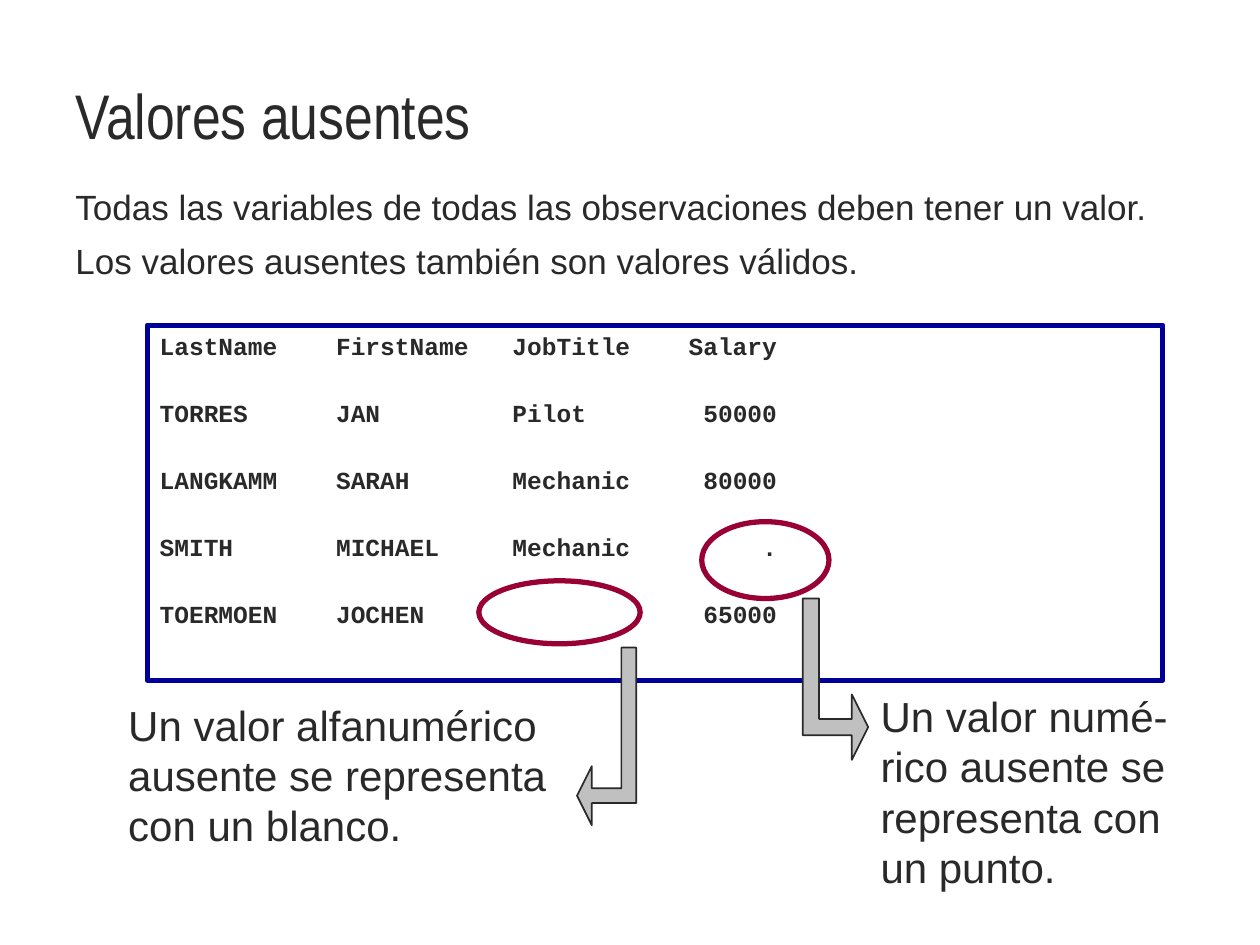
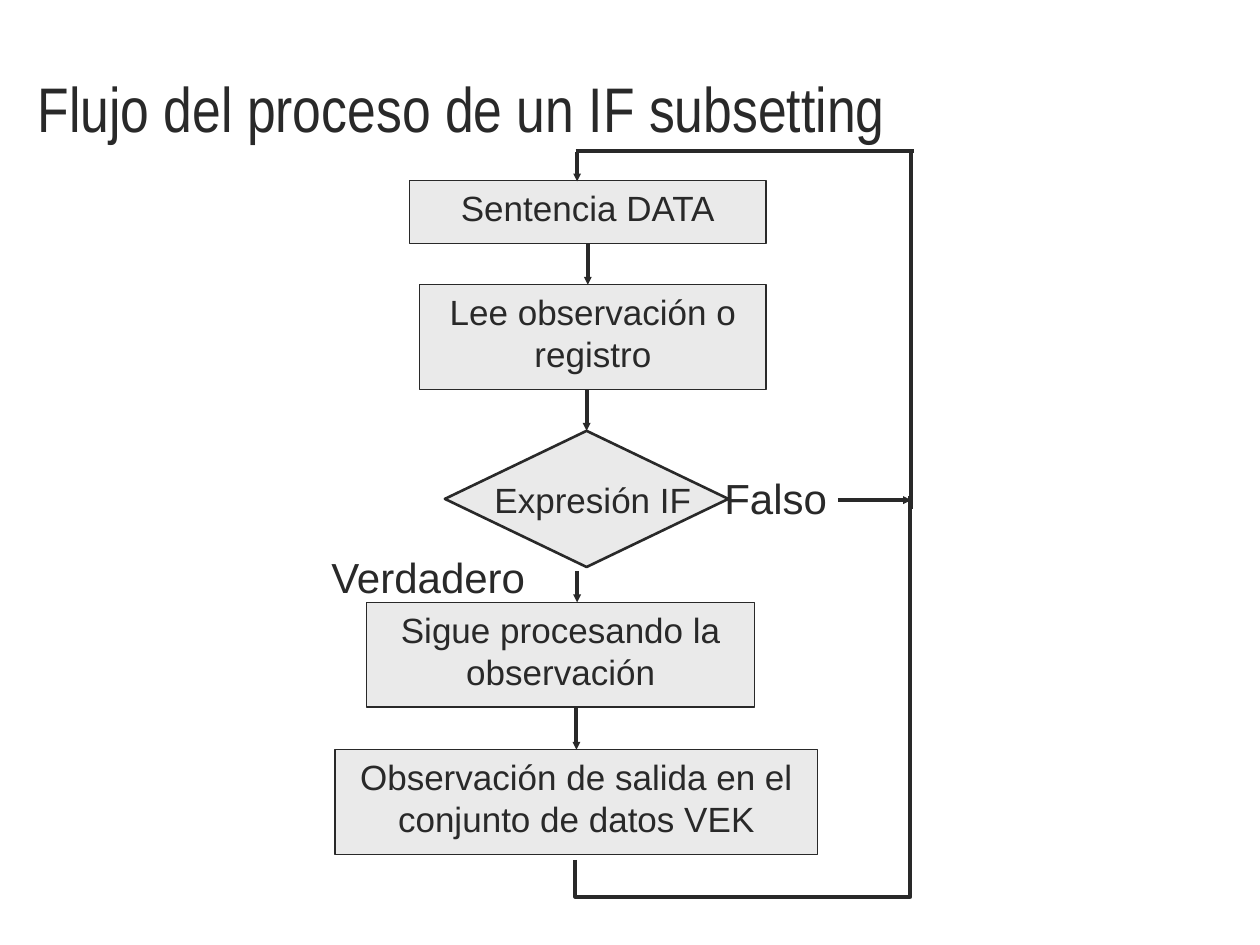
"""Build two teaching slides: missing values and the flow of a subsetting IF."""
from lxml import etree
from pptx import Presentation
from pptx.dml.color import RGBColor
from pptx.enum.shapes import MSO_CONNECTOR, MSO_SHAPE
from pptx.enum.text import MSO_ANCHOR, PP_ALIGN
from pptx.oxml.ns import qn
from pptx.util import Pt

INK = RGBColor(0x29, 0x29, 0x29)
WHITE = RGBColor(0xFF, 0xFF, 0xFF)
NAVY = RGBColor(0x00, 0x00, 0x99)
CRIMSON = RGBColor(0x99, 0x00, 0x33)
SILVER = RGBColor(0xC0, 0xC0, 0xC0)
PALE = RGBColor(0xEA, 0xEA, 0xEA)

RECTANGLE, ELLIPSE = MSO_SHAPE.RECTANGLE, MSO_SHAPE.OVAL
DECISION, BENT_ARROW = MSO_SHAPE.FLOWCHART_DECISION, MSO_SHAPE.BENT_UP_ARROW
STRAIGHT, ELBOW = MSO_CONNECTOR.STRAIGHT, MSO_CONNECTOR.ELBOW
LEFT, CENTER = PP_ALIGN.LEFT, PP_ALIGN.CENTER
TOP, MIDDLE = MSO_ANCHOR.TOP, MSO_ANCHOR.MIDDLE
SITE_TOP, SITE_BOTTOM = 0, 2

CHAR_WIDTH = 8.4
COLUMN_STOPS = [(12, "l"), (24, "l"), (42, "r")]
STAFF = [
    ("LastName", "FirstName", "JobTitle", "Salary"),
    ("TORRES", "JAN", "Pilot", "50000"),
    ("LANGKAMM", "SARAH", "Mechanic", "80000"),
    ("SMITH", "MICHAEL", "Mechanic", "."),
    ("TOERMOEN", "JOCHEN", "", "65000"),
]


def points(*values):
    """Turn numbers into lengths in points."""
    return [Pt(value) for value in values]


def write(shape, lines, size, font="Arial", align=LEFT, anchor=TOP, gap=0):
    """Fill a shape with paragraphs and return them."""
    frame = shape.text_frame
    frame.word_wrap = True
    frame.vertical_anchor = anchor
    frame.text = "\n".join(lines)
    for para in frame.paragraphs:
        para.alignment = align
        para.space_after = Pt(gap)
        para.font.size = Pt(size)
        para.font.name = font
        para.font.color.rgb = INK
    return frame.paragraphs


def add_text(page, box, lines, size, **style):
    """Add a text box and return its paragraphs."""
    return write(page.shapes.add_textbox(*points(*box)), lines, size, **style)


def add_title(page, left, top, text):
    """Add the slide title."""
    para = add_text(page, (left, top, 684, 90), [text], 36,
                    font="Arial Narrow", anchor=MIDDLE)[0]
    para.line_spacing = 0.83


def add_figure(page, kind, box, fill, line, width):
    """Add a preset shape, unfilled when fill is None."""
    shape = page.shapes.add_shape(kind, *points(*box))
    shape.shadow.inherit = False
    if fill is None:
        shape.fill.background()
    else:
        shape.fill.solid()
        shape.fill.fore_color.rgb = fill
    shape.line.color.rgb = line
    shape.line.width = Pt(width)
    return shape


def add_line(page, ends, arrow=False, kind=STRAIGHT):
    """Add a connector, with an arrowhead at its end if asked."""
    line = page.shapes.add_connector(kind, *points(*ends))
    line.line.color.rgb = INK
    line.line.width = Pt(2.25)
    if arrow:
        outline = line.line._get_or_add_ln()
        etree.SubElement(outline, qn("a:tailEnd"), type="triangle",
                         w="sm", len="sm")
    etree.SubElement(line._element.spPr, qn("a:effectLst"))
    return line


def add_staff_listing(page, box):
    """Add the framed listing with its columns on tab stops."""
    frame = add_figure(page, RECTANGLE, box, WHITE, NAVY, 3)
    frame.text_frame.text = "\n".join("\t".join(row) for row in STAFF)
    for para in frame.text_frame.paragraphs:
        stops = etree.SubElement(para._p.get_or_add_pPr(), qn("a:tabLst"))
        for column, align in COLUMN_STOPS:
            etree.SubElement(stops, qn("a:tab"),
                             pos=str(Pt(column * CHAR_WIDTH)), algn=align)
        para.alignment = LEFT
        para.space_after = Pt(21.5)
        para.font.size = Pt(14)
        para.font.name = "Courier New"
        para.font.bold = True
        para.font.color.rgb = INK
    frame.text_frame.vertical_anchor = TOP


def add_callout(page, ring, arrow, note, text, mirrored=False):
    """Ring a missing value and lead a bent arrow to its explanation."""
    add_figure(page, ELLIPSE, ring, None, CRIMSON, 3)
    bend = add_figure(page, BENT_ARROW, arrow, SILVER, INK, 1)
    bend.rotation = 90
    for index, value in enumerate((0.25, 0.5, 0.25)):
        bend.adjustments[index] = value
    if mirrored:
        bend._element.spPr.find(qn("a:xfrm")).set("flipV", "1")
    add_text(page, note, [text], 24)


def build_missing_values(page):
    """Build the slide about missing values."""
    add_staff_listing(page, (84.2, 185.8, 580.3, 203))
    add_text(page, (36, 102.2, 684, 108), [
        "Todas las variables de todas las observaciones deben tener un valor.",
        "Los valores ausentes también son valores válidos.",
    ], 20, gap=7.4)
    add_callout(page, (401, 298.1, 72.7, 43.9), (431.3, 369.4, 92.2, 37.4),
                (496.1, 391, 182.2, 122.4),
                "Un valor numé- rico ausente se representa con un punto.")
    add_callout(page, (273.6, 331.9, 92.2, 36), (295.9, 403.9, 101.5, 33.8),
                (66.2, 396, 264.2, 93.6),
                "Un valor alfanumérico ausente se representa con un blanco.",
                mirrored=True)
    add_title(page, 36, 23.8, "Valores ausentes")


def add_flow(page, left, top):
    """Draw the flow chart from its top-left corner."""
    def place(x, y, *size):
        """Shift a position into the chart."""
        return (left + x, top + y, *size)

    def join(x1, y1, x2, y2, arrow=True):
        """Draw a straight line inside the chart."""
        return add_line(page, place(x1, y1) + place(x2, y2), arrow)

    def step(x, y, width, height, text):
        """Draw one process box."""
        shape = add_figure(page, RECTANGLE, place(x, y, width, height),
                           PALE, INK, 0.75)
        write(shape, [text], 20, align=CENTER)
        return shape

    data = step(54, 16.6, 203.8, 36, "Sentencia DATA")
    step(59.8, 76.3, 198, 59.8, "Lee observación o registro")
    step(29.5, 257.8, 221.8, 59.8, "Sigue procesando la observación")
    output = step(11.5, 342, 275.8, 59.8,
                  "Observación de salida en el conjunto de datos VEK")
    decision = add_figure(page, DECISION, place(74.2, 159.8, 162, 77.8),
                          PALE, INK, 1.5)
    add_text(page, place(61.9, 183.6, 193.7, 31), ["Expresión IF"], 20,
             align=CENTER)
    add_text(page, place(226.8, 180, 90, 36), ["Falso"], 24)
    add_text(page, place(2.2, 225.4, 138.2, 36), ["Verdadero"], 24)

    join(155.9, 52.6, 155.9, 76.3).begin_connect(data, SITE_BOTTOM)
    join(155.2, 136.1, 155.2, 159.8).end_connect(decision, SITE_TOP)
    join(149.8, 239.8, 149.8, 257.8)
    join(149.4, 317.6, 149.4, 342).end_connect(output, SITE_TOP)
    join(298.8, 199.4, 340.6, 199.4)
    join(149.8, 0.7, 149.8, 17.3)
    join(149, 0, 342, 0, arrow=False)
    join(340.6, 0, 340.6, 204.5, arrow=False)
    add_return_path(page, place(140.4, 205.2, 208.1, 191.5))


def add_return_path(page, box):
    """Draw the elbow that leads from the last step back up."""
    left, top, width, height = box
    elbow = add_line(page, (left, top, left + width, top + height), kind=ELBOW)
    properties = elbow._element.spPr
    frame = properties.find(qn("a:xfrm"))
    for name, value in (("rot", "5400000"), ("flipH", "1"), ("flipV", "1")):
        frame.set(name, value)
    geometry = properties.find(qn("a:prstGeom"))
    guides = geometry.find(qn("a:avLst"))
    if guides is None:
        guides = etree.SubElement(geometry, qn("a:avLst"))
    etree.SubElement(guides, qn("a:gd"), name="adj1", fmla="val -10100")


def build_subsetting_flow(page):
    """Build the slide with the flow of a subsetting IF."""
    add_flow(page, 180, 86.4)
    add_title(page, 14.4, 20.2, "Flujo del proceso de un IF subsetting")


def main():
    """Create the deck and save it."""
    deck = Presentation()
    deck.slide_width, deck.slide_height = points(720, 540)
    blank = deck.slide_layouts[6]
    for build in (build_missing_values, build_subsetting_flow):
        build(deck.slides.add_slide(blank))
    deck.save("out.pptx")


if __name__ == "__main__":
    main()
